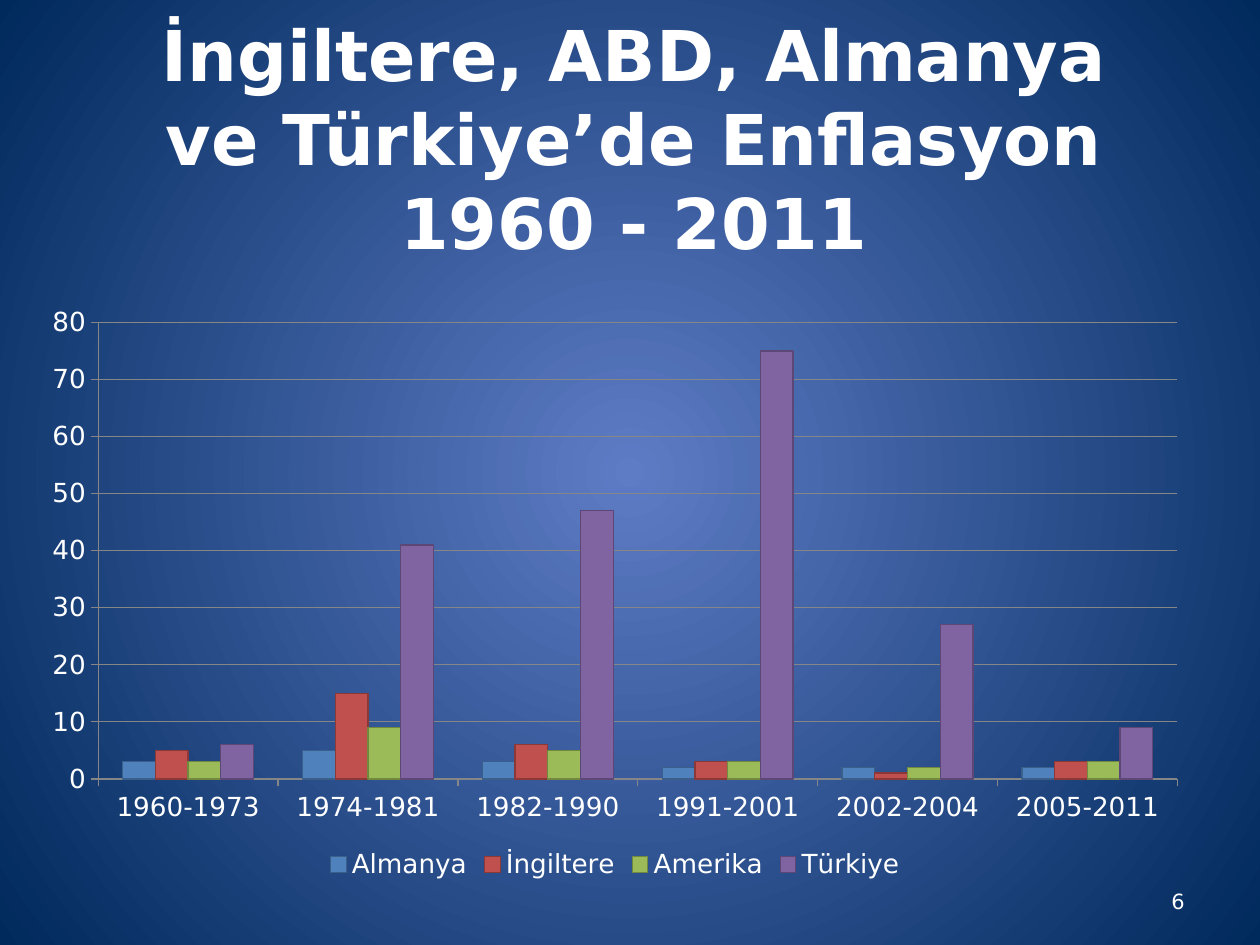
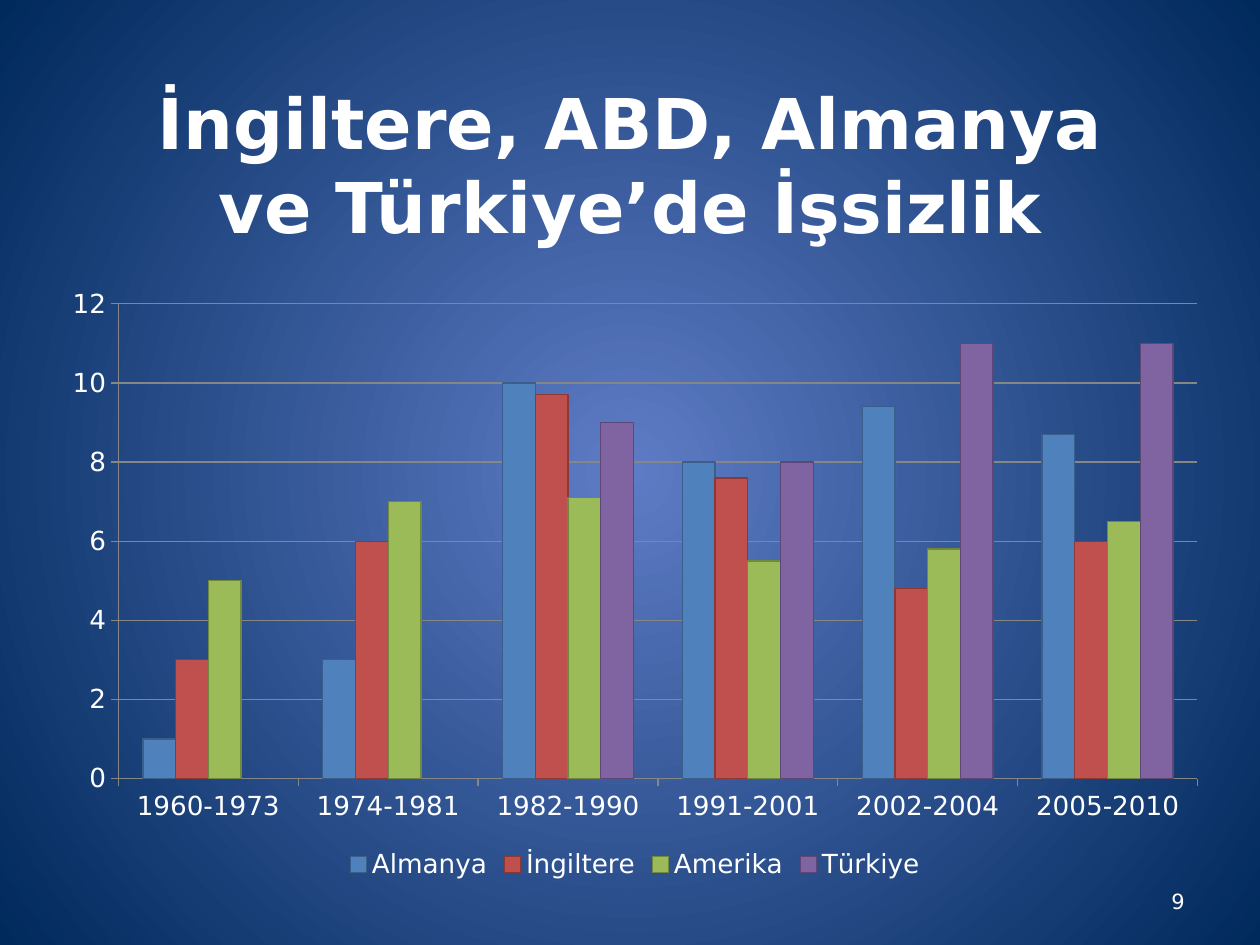
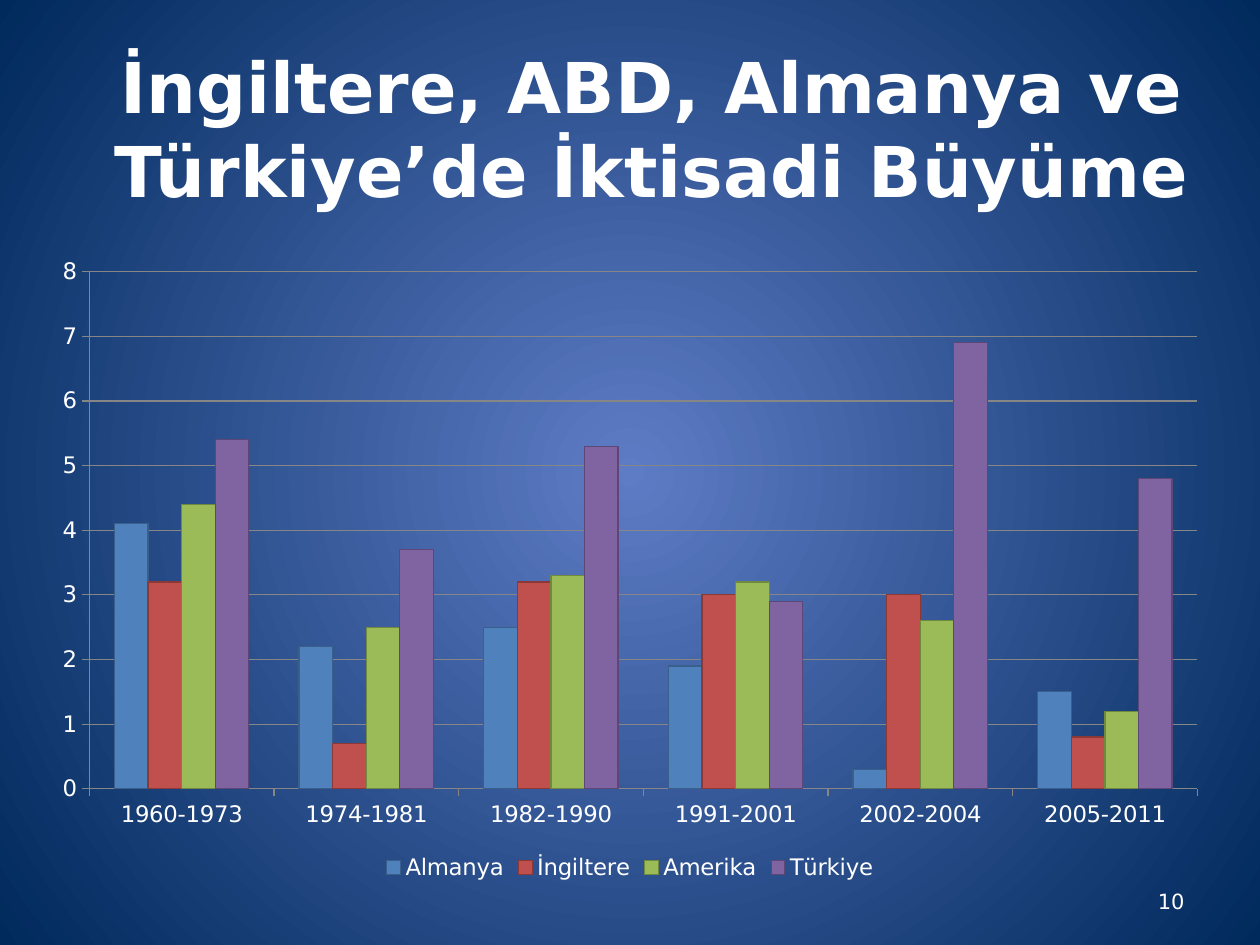
from dataclasses import dataclass

from lxml.etree import SubElement
from pptx import Presentation
from pptx.chart.chart import Chart
from pptx.chart.data import CategoryChartData
from pptx.dml.color import RGBColor
from pptx.dml.line import LineFormat
from pptx.enum.chart import XL_CHART_TYPE, XL_LEGEND_POSITION, XL_TICK_MARK
from pptx.enum.text import MSO_ANCHOR, PP_ALIGN
from pptx.oxml.ns import qn
from pptx.presentation import Presentation as PresentationType
from pptx.slide import Slide
from pptx.util import Pt


@dataclass(frozen=True)
class Theme:
    font: str = "DejaVu Sans"
    text: str = "FFFFFF"
    glow: str = "5E7CC5"
    edge: str = "00295C"
    axis: str = "868686"
    title_size: float = 40
    number_size: float = 12
    line_width: float = 0.75


@dataclass(frozen=True)
class Box:
    left: float
    top: float
    width: float
    height: float

    def lengths(self) -> tuple[Pt, Pt, Pt, Pt]:
        return Pt(self.left), Pt(self.top), Pt(self.width), Pt(self.height)


@dataclass(frozen=True)
class Country:
    name: str
    fill: str
    outline: str


@dataclass(frozen=True)
class ChartSlide:
    title: str
    title_box: Box
    number: int
    chart_box: Box
    label_size: float
    last_period: str
    axis_maximum: float
    axis_step: float
    number_format: str
    values: list[list[float | None]]  # one row per country


THEME = Theme()
NUMBER_BOX = Box(516.24, 500.4, 167.76, 28.8)
PERIODS = ["1960-1973", "1974-1981", "1982-1990", "1991-2001", "2002-2004"]
COUNTRIES = [
    Country("Almanya", "4F81BD", "3A5F8B"),
    Country("İngiltere", "C0504D", "8C3836"),
    Country("Amerika", "9BBB59", "71893F"),
    Country("Türkiye", "8064A2", "5C4776"),
]

CHART_SLIDES = [
    ChartSlide(
        "İngiltere, ABD, Almanya ve Türkiye’de Enflasyon\v1960 - 2011",
        Box(56.16, 33.84, 612, 90), 6,
        Box(16.56, 168.48, 669.6, 337.68), 15, "2005-2011", 80, 10, "General",
        [
            [3, 5, 3, 2, 2, 2],
            [5, 15, 6, 3, 1, 3],
            [3, 9, 5, 3, 2, 3],
            [6, 41, 47, 75, 27, 9],
        ],
    ),
    ChartSlide(
        "İngiltere, ABD, Almanya ve Türkiye’de İşsizlik",
        Box(54, 48.24, 612, 90), 9,
        Box(28.08, 157.68, 669.6, 348.48), 15, "2005-2010", 12, 2, "General",
        [
            [1, 3, 10, 8, 9.4, 8.7],
            [3, 6, 9.7, 7.6, 4.8, 6],
            [5, 7, 7.1, 5.5, 5.8, 6.5],
            [None, None, 9, 8, 11, 11],
        ],
    ),
    ChartSlide(
        "İngiltere, ABD, Almanya ve Türkiye’de İktisadi Büyüme",
        Box(50.4, 28.08, 643.68, 90), 10,
        Box(22.32, 140.4, 675.36, 365.76), 13, "2005-2011", 8, 1, "0",
        [
            [4.1, 2.2, 2.5, 1.9, 0.3, 1.5],
            [3.2, 0.7, 3.2, 3, 3, 0.8],
            [4.4, 2.5, 3.3, 3.2, 2.6, 1.2],
            [5.4, 3.7, 5.3, 2.9, 6.9, 4.8],
        ],
    ),
]


# Shared background: a circular gradient on the master
def set_background(presentation: PresentationType) -> None:
    master = presentation.slide_master
    fill = master.background.fill
    fill.gradient()
    for stop, color in zip(fill.gradient_stops, (THEME.glow, THEME.edge)):
        stop.color.rgb = RGBColor.from_string(color)
    gradient = master.element.find(".//" + qn("a:gradFill"))
    gradient.remove(gradient.find(qn("a:lin")))
    circle = SubElement(gradient, qn("a:path"), path="circle")
    SubElement(circle, qn("a:fillToRect"), l="50000", t="50000", r="50000", b="50000")


# Text
def add_text(slide: Slide, text: str, box: Box, size: float,
             alignment: PP_ALIGN, bold: bool = False) -> None:
    text_frame = slide.shapes.add_textbox(*box.lengths()).text_frame
    text_frame.word_wrap = True
    text_frame.vertical_anchor = MSO_ANCHOR.MIDDLE
    text_frame.text = text
    paragraph = text_frame.paragraphs[0]
    paragraph.alignment = alignment
    for run in paragraph.runs:
        run.font.name = THEME.font
        run.font.size = Pt(size)
        run.font.bold = bold
        run.font.color.rgb = RGBColor.from_string(THEME.text)


# Chart
def style_line(line: LineFormat, color: str) -> None:
    line.color.rgb = RGBColor.from_string(color)
    line.width = Pt(THEME.line_width)


def style_axes(chart: Chart, content: ChartSlide) -> None:
    for axis in (chart.category_axis, chart.value_axis):
        axis.major_tick_mark = XL_TICK_MARK.OUTSIDE
        axis.minor_tick_mark = XL_TICK_MARK.NONE
        style_line(axis.format.line, THEME.axis)
    value_axis = chart.value_axis
    value_axis.minimum_scale = 0
    value_axis.maximum_scale = content.axis_maximum
    value_axis.major_unit = content.axis_step
    value_axis.has_major_gridlines = True
    style_line(value_axis.major_gridlines.format.line, THEME.axis)
    value_axis.tick_labels.number_format = content.number_format
    value_axis.tick_labels.number_format_is_linked = False


def add_country_chart(slide: Slide, content: ChartSlide) -> None:
    chart_data = CategoryChartData()
    chart_data.categories = [*PERIODS, content.last_period]
    for country, values in zip(COUNTRIES, content.values):
        chart_data.add_series(country.name, values)
    chart = slide.shapes.add_chart(
        XL_CHART_TYPE.COLUMN_CLUSTERED, *content.chart_box.lengths(), chart_data
    ).chart
    chart.has_title = False
    chart.font.name = THEME.font
    chart.font.size = Pt(content.label_size)
    chart.font.color.rgb = RGBColor.from_string(THEME.text)
    chart.has_legend = True
    chart.legend.position = XL_LEGEND_POSITION.BOTTOM
    chart.legend.include_in_layout = False
    style_axes(chart, content)
    plot = chart.plots[0]
    plot.vary_by_categories = False
    plot.gap_width = 150
    plot.overlap = 0
    for country, series in zip(COUNTRIES, plot.series):
        series.format.fill.solid()
        series.format.fill.fore_color.rgb = RGBColor.from_string(country.fill)
        style_line(series.format.line, country.outline)


def main() -> None:
    presentation = Presentation()
    presentation.slide_width, presentation.slide_height = Pt(720), Pt(540)
    set_background(presentation)
    for content in CHART_SLIDES:
        slide = presentation.slides.add_slide(presentation.slide_layouts[6])
        add_text(slide, content.title, content.title_box, THEME.title_size,
                 PP_ALIGN.CENTER, bold=True)
        add_text(slide, str(content.number), NUMBER_BOX, THEME.number_size, PP_ALIGN.RIGHT)
        add_country_chart(slide, content)
    presentation.save("out.pptx")


if __name__ == "__main__":
    main()
